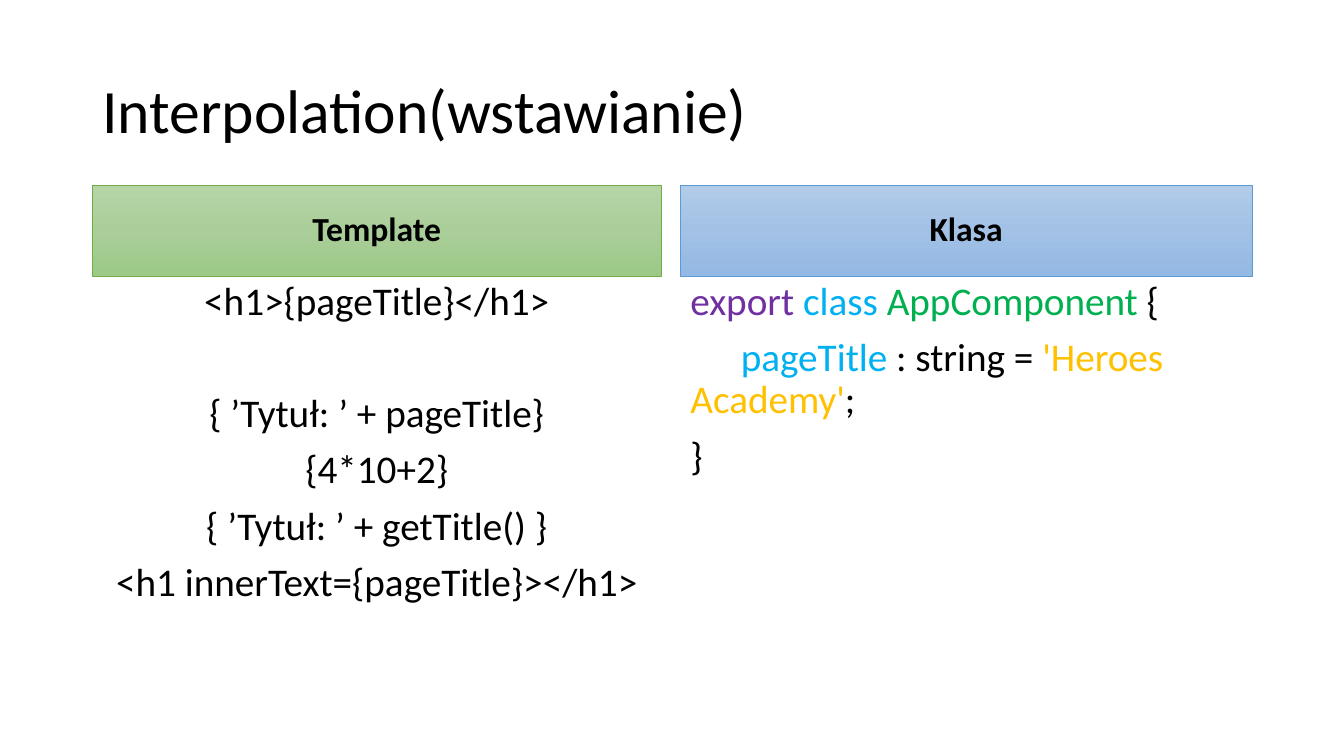
from copy import deepcopy

from pptx import Presentation
from pptx.dml.color import RGBColor
from pptx.enum.shapes import MSO_SHAPE
from pptx.enum.text import MSO_ANCHOR, PP_ALIGN
from pptx.oxml.ns import qn
from pptx.util import Cm, Pt

RECT = MSO_SHAPE.RECTANGLE
MIDDLE = MSO_ANCHOR.MIDDLE
LEFT = PP_ALIGN.LEFT
CENTER = PP_ALIGN.CENTER

BLACK = RGBColor(0x00, 0x00, 0x00)
PURPLE = RGBColor(0x70, 0x30, 0xA0)
SKY = RGBColor(0x00, 0xB0, 0xF0)
GREEN = RGBColor(0x00, 0xB0, 0x50)
GOLD = RGBColor(0xFF, 0xC0, 0x00)
LEAF = RGBColor(0x70, 0xAD, 0x47)
LEAVES = (RGBColor(0xB5, 0xD5, 0xA7), RGBColor(0xAA, 0xCE, 0x9A),
          RGBColor(0x9C, 0xC9, 0x87))
BLUE = RGBColor(0x5B, 0x9B, 0xD5)
BLUES = (RGBColor(0xB1, 0xCB, 0xE9), RGBColor(0xA3, 0xC1, 0xE5),
         RGBColor(0x93, 0xB9, 0xE4))

FONT = "Calibri"
GAP = 10
WIDE_GAP = 50
HEAD_H = 2.29

TEMPLATE = [
    (0, [("<h1>{pageTitle}</h1>", BLACK)]),
    (WIDE_GAP, [("{ ’Tytuł: ’ + pageTitle}", BLACK)]),
    (GAP, [("{4*10+2}", BLACK)]),
    (GAP, [("{ ’Tytuł: ’ + getTitle() }", BLACK)]),
    (GAP, [("<h1 innerText={pageTitle}></h1>", BLACK)]),
]
CLASS = [
    (0, [("export ", PURPLE), ("class ", SKY), ("AppComponent", GREEN),
         (" {", BLACK)]),
    (GAP, [("\tpageTitle", SKY), (" : string = ", BLACK),
           ("'Heroes Academy'", GOLD), (";", BLACK)]),
    (GAP, [("}", BLACK)]),
]


def write(frame, lines, size, align=LEFT, bold=False):
    frame.word_wrap = True
    for i, (gap, runs) in enumerate(lines):
        para = frame.add_paragraph() if i else frame.paragraphs[0]
        para.alignment = align
        para.line_spacing = 0.9
        para.space_before = Pt(gap)
        para.font.name = FONT
        para.font.size = Pt(size)
        para.font.bold = bold
        for text, color in runs:
            run = para.add_run()
            run.text = text
            run.font.color.rgb = color


def shade(fill, shape, colors):
    fill.gradient()
    fill.gradient_angle = 270
    stops = shape._element.spPr.find(qn("a:gradFill")).find(qn("a:gsLst"))
    stops.insert(1, deepcopy(stops[0]))
    for i, (stop, color) in enumerate(zip(fill.gradient_stops, colors)):
        stop.position = i / 2
        stop.color.rgb = color


def add_title(slide, box, text):
    frame = slide.shapes.add_textbox(*map(Cm, box)).text_frame
    frame.vertical_anchor = MIDDLE
    write(frame, [(0, [(text, BLACK)])], 44)


def add_column(slide, box, head, colors, edge, lines, align):
    left, top, width, height = box
    bar = slide.shapes.add_shape(RECT, Cm(left), Cm(top), Cm(width), Cm(HEAD_H))
    bar.shadow.inherit = False
    shade(bar.fill, bar, colors)
    bar.line.color.rgb = edge
    bar.line.width = Pt(0.5)
    bar.text_frame.vertical_anchor = MIDDLE
    write(bar.text_frame, [(0, [(head, BLACK)])], 24, CENTER, True)
    body = slide.shapes.add_textbox(
        Cm(left), Cm(top + HEAD_H), Cm(width), Cm(height - HEAD_H))
    write(body.text_frame, lines, 28, align)


def main():
    deck = Presentation()
    deck.slide_width = Cm(33.87)
    deck.slide_height = Cm(19.05)
    slide = deck.slides.add_slide(deck.slide_layouts[6])
    add_title(slide, (2.33, 1.01, 29.21, 3.68), "Interpolation(wstawianie)")
    add_column(slide, (2.33, 4.67, 14.33, 12.53), "Template", LEAVES, LEAF,
               TEMPLATE, CENTER)
    add_column(slide, (17.15, 4.67, 14.4, 12.53), "Klasa", BLUES, BLUE,
               CLASS, LEFT)
    deck.save("out.pptx")


if __name__ == "__main__":
    main()
